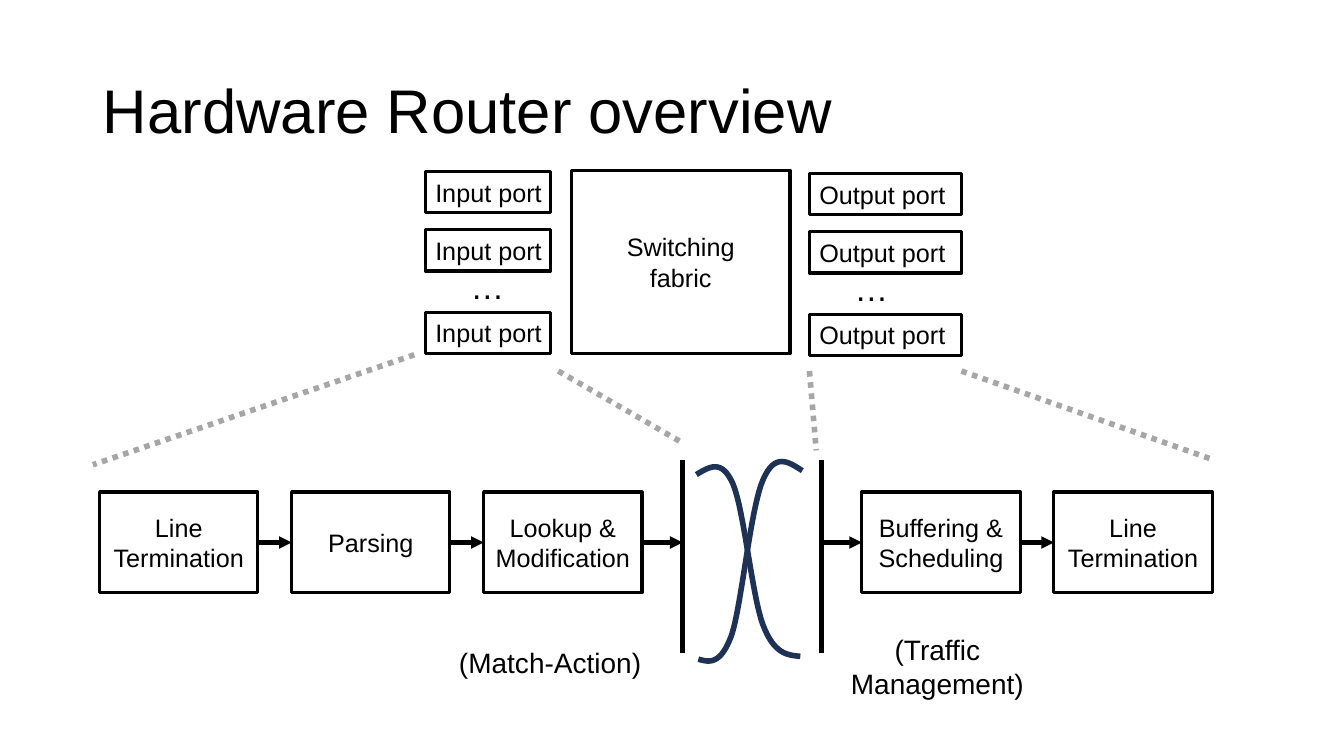
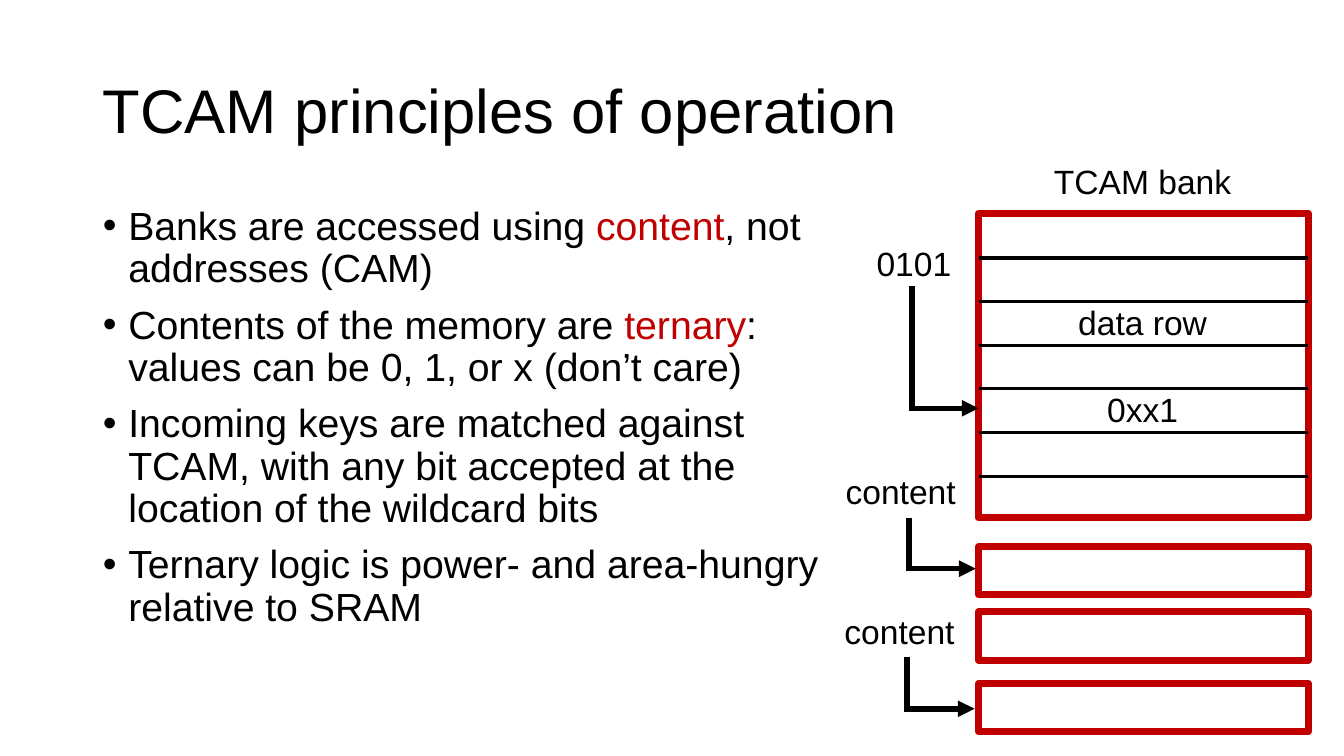
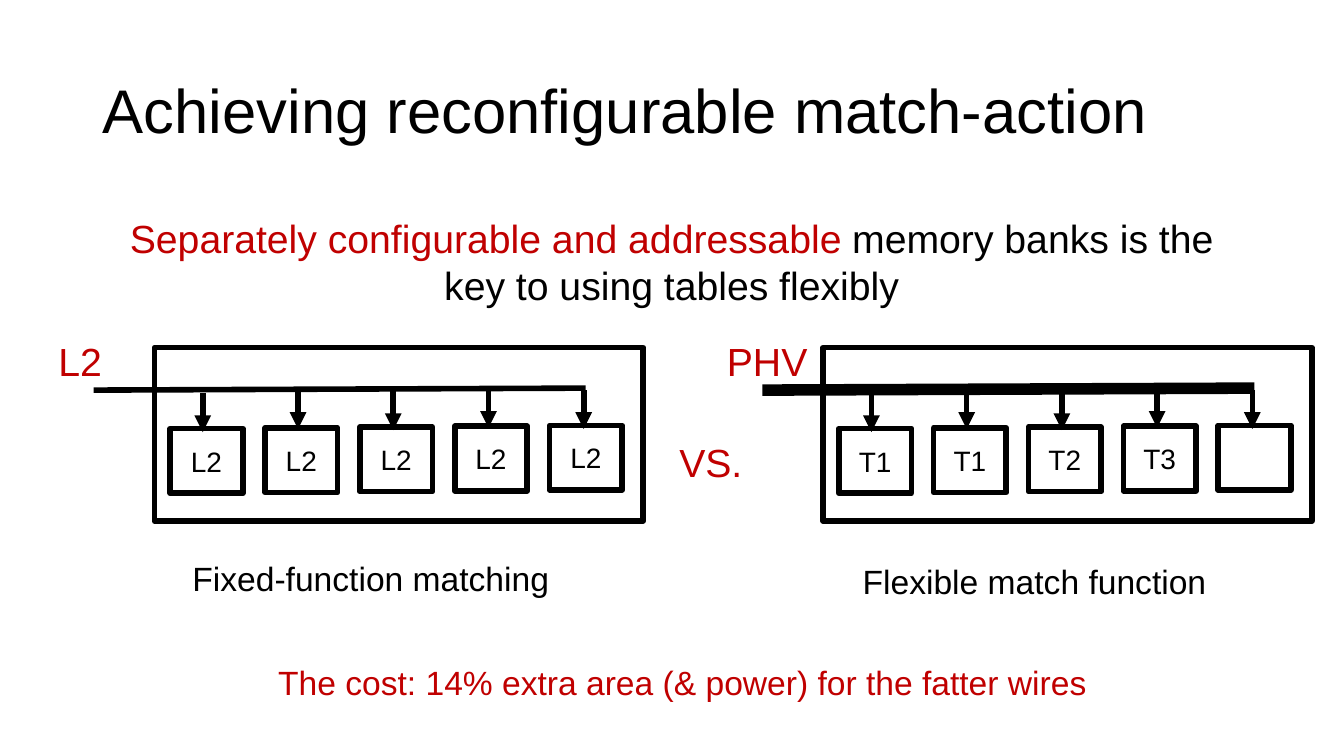
from lxml import etree
from pptx import Presentation
from pptx.dml.color import RGBColor
from pptx.enum.dml import MSO_LINE
from pptx.enum.shapes import MSO_CONNECTOR, MSO_SHAPE
from pptx.enum.text import MSO_ANCHOR, MSO_AUTO_SIZE, PP_ALIGN
from pptx.oxml.ns import qn
from pptx.util import Cm, Pt

RECTANGLE = MSO_SHAPE.RECTANGLE
STRAIGHT = MSO_CONNECTOR.STRAIGHT
DOTTED = MSO_LINE.ROUND_DOT
LEFT, CENTER = PP_ALIGN.LEFT, PP_ALIGN.CENTER
TOP, MIDDLE = MSO_ANCHOR.TOP, MSO_ANCHOR.MIDDLE
NO_FIT = MSO_AUTO_SIZE.NONE

FONT = "Arial"
COLORS = {"ink": "000000", "accent": "C00000", "zoom": "A6A6A6", "curve": "1E3256"}
TITLE_ONLY, TITLE_AND_CONTENT = 5, 1
TITLE_AREA = (2.34, 1.02, 29.21, 3.68)

# Slide 1 content, all places in centimetres
ROUTER_TITLE = "Hardware Router overview"
PORT_COLUMNS = [  # text, left, first top, width
    ("Input port", 10.72, 4.32, 3.15),
    ("Output port", 20.4, 4.37, 3.84),
]
PORT_STEPS = (0, 1.47, 3.55)
FABRIC = ("Switching fabric", (14.4, 4.29, 5.51, 4.62))
INGRESS = ["Line Termination", "Parsing", "Lookup & Modification"]
EGRESS = ["Buffering & Scheduling", "Line Termination"]
STAGE_TOP, STAGE_WIDTH, STAGE_HEIGHT, STAGE_PITCH = 12.4, 3.99, 2.54, 4.84
INGRESS_LEFT, EGRESS_LEFT = 2.51, 21.72
FABRIC_EDGES = (17.2, 20.7)
ZOOM_LINES = [
    ((10.44, 8.94), (2.34, 11.71)),
    ((14.07, 9.35), (17.15, 11.13)),
    ((20.4, 9.35), (20.57, 11.35)),
    ((24.23, 9.35), (30.56, 11.58)),
]
CROSSING_CURVES = [  # start point, then two controls and an end per segment
    [(17.55, 11.96), (17.88, 11.76), (18.19, 11.56), (18.47, 12.19),
     (18.75, 12.83), (18.95, 15.01), (19.23, 15.75),
     (19.51, 16.48), (19.84, 16.51), (20.17, 16.54)],
    [(20.22, 11.86), (19.86, 11.63), (19.53, 11.4), (19.23, 12.09),
     (18.92, 12.78), (18.69, 15.24), (18.44, 16),
     (18.16, 16.76), (17.88, 16.69), (17.6, 16.61)],
]
ROUTER_NOTES = [
    ("(Match-Action)", (11.3, 16.13, 5.13, 1.12)),
    ("(Traffic Management)", (21.11, 15.82, 5.03, 1.96)),
]

# Slide 2 content
TCAM_TITLE = "TCAM principles of operation"
TCAM_POINTS = [
    [("Banks are accessed using ", "ink"), ("content", "accent"),
     (", not addresses (CAM)", "ink")],
    [("Contents of the memory are ", "ink"), ("ternary", "accent"),
     (": values can be 0, 1, or x (don’t care)", "ink")],
    [("Incoming keys are matched against TCAM, with any bit accepted "
      "at the location of the wildcard bits", "ink")],
    [("Ternary logic is power- and area-hungry relative to SRAM", "ink")],
]
POINTS_AREA = (2.34, 5.08, 18.62, 12.09)
BANK_LEFT, BANK_WIDTH = 24.66, 8.31
BANKS = [(5.38, 7.67), (13.77, 1.22), (15.42, 1.22), (17.22, 1.22)]  # top, height
ROW_TOP, ROW_PITCH, DIVIDERS = 6.5, 1.1, 6
BANK_LABELS = [("TCAM bank", 3.94), ("data row", 7.49), ("0xx1", 9.68)]
KEYS = [  # text, text left and top, arrow left, top, bottom, tip
    ("0101", 21.84, 5.99, 22.99, 7.21, 10.29, 24.66),
    ("content", 21.06, 11.73, 22.91, 13.06, 14.33, 24.59),
    ("content", 21.03, 15.27, 22.86, 16.56, 17.86, 24.56),
]

# Slide 3 content
MATCH_TITLE = "Achieving reconfigurable match-action"
HEADLINE = [("Separately configurable and addressable ", "accent"),
            ("memory banks is the key to using tables flexibly", "ink")]
UNITS = [  # bus label, bus width in points, cells
    ("L2", 4, ["L2", "L2", "L2", "L2", "L2"]),
    ("PHV", 8.25, ["T1", "T1", "T2", "T3", ""]),
]
UNIT_PITCH, CELL_PITCH, DROP_PITCH = 16.85, 2.39, 2.4
DROP_TOPS = [9.91, 9.83, 9.86, 9.8, 9.83]
DROP_LENGTH = 0.98
MATCH_NOTES = [  # text, color, size, area
    ("VS.", "accent", 28, (16.87, 10.92, 2.51, 1.45)),
    ("Fixed-function matching", "ink", 24, (4.6, 13.94, 11.1, 1.27)),
    ("Flexible match function", "ink", 24, (21.49, 14, 11.56, 1.27)),
    ("The cost: 14% extra area (& power) for the fatter wires", "accent", 24,
     (6.76, 16.56, 21.54, 1.27)),
]


# Shared helpers
def rgb(name):
    return RGBColor.from_string(COLORS[name])


def place(shape, area):
    shape.left, shape.top, shape.width, shape.height = [Cm(value) for value in area]


def style_span(span, size, color):
    span.font.name = FONT
    span.font.size = Pt(size)
    span.font.color.rgb = rgb(color)


def write(frame, text, size, color="ink", align=LEFT, anchor=TOP):
    frame.word_wrap = True
    frame.vertical_anchor = anchor
    frame.text = text
    para = frame.paragraphs[0]
    para.alignment = align
    for span in para.runs:
        style_span(span, size, color)


def add_spans(para, spans, size):
    for text, color in spans:
        span = para.add_run()
        span.text = text
        style_span(span, size, color)


def add_page(deck, layout, title):
    page = deck.slides.add_slide(deck.slide_layouts[layout])
    place(page.shapes.title, TITLE_AREA)
    frame = page.shapes.title.text_frame
    frame.auto_size = NO_FIT
    write(frame, title, 44, anchor=MIDDLE)
    frame.paragraphs[0].line_spacing = 0.9
    return page


def add_label(page, text, area, size, color="ink", align=LEFT):
    box = page.shapes.add_textbox(*[Cm(value) for value in area])
    write(box.text_frame, text, size, color, align)
    return box


def add_box(page, area, width, color="ink", text="", size=18, align=CENTER):
    box = page.shapes.add_shape(RECTANGLE, *[Cm(value) for value in area])
    box.shadow.inherit = False
    box.fill.background()
    box.line.color.rgb = rgb(color)
    box.line.width = Pt(width)
    if text:
        write(box.text_frame, text, size, align=align, anchor=MIDDLE)
    return box


def add_line(page, start, end, width, color="ink", arrow=False):
    line = page.shapes.add_connector(STRAIGHT, *[Cm(value) for value in start + end])
    line.line.color.rgb = rgb(color)
    line.line.width = Pt(width)
    if arrow:
        etree.SubElement(line.line._get_or_add_ln(), qn("a:tailEnd"), type="triangle")
    etree.SubElement(line._element.spPr, qn("a:effectLst"))
    return line


def curve_points(points, steps=16):
    """Sample a chain of cubic segments."""
    samples = [points[0]]
    for first in range(0, len(points) - 1, 3):
        segment = points[first:first + 4]
        for step in range(1, steps + 1):
            t = step / steps
            weights = ((1 - t) ** 3, 3 * t * (1 - t) ** 2, 3 * t * t * (1 - t), t ** 3)
            samples.append(tuple(
                sum(weight * point[axis] for weight, point in zip(weights, segment))
                for axis in (0, 1)))
    return samples


def add_curve(page, points):
    start, *rest = [(Cm(x), Cm(y)) for x, y in curve_points(points)]
    builder = page.shapes.build_freeform(*start)
    builder.add_line_segments(rest, close=False)
    curve = builder.convert_to_shape()
    curve.shadow.inherit = False
    curve.fill.background()
    curve.line.color.rgb = rgb("curve")
    curve.line.width = Pt(4)


# Slides
def build_router(deck):
    page = add_page(deck, TITLE_ONLY, ROUTER_TITLE)

    # Ports around the switching fabric
    text, area = FABRIC
    fabric = add_box(page, area, 2.25, text=text)
    fabric.text_frame.margin_left = fabric.text_frame.margin_right = Cm(1)
    for text, left, top, width in PORT_COLUMNS:
        for step in PORT_STEPS:
            port = add_box(page, (left, top + step, width, 1.04), 2.25,
                           text=text, align=LEFT)
            port.text_frame.margin_right = 0
            port.text_frame.margin_top = port.text_frame.margin_bottom = 0
        add_label(page, "…", (left + 0.89, top + 2.26, 1.45, 1.27), 24)

    # Pipeline stages on both sides of the fabric
    for first, names in ((INGRESS_LEFT, INGRESS), (EGRESS_LEFT, EGRESS)):
        for index, name in enumerate(names):
            area = (first + index * STAGE_PITCH, STAGE_TOP, STAGE_WIDTH, STAGE_HEIGHT)
            add_box(page, area, 2.25, text=name)
    for edge in FABRIC_EDGES:
        add_line(page, (edge, 11.58), (edge, 16.46), 3)

    # Arrows: from each stage or edge to the next one
    ingress = [INGRESS_LEFT + index * STAGE_PITCH for index in range(len(INGRESS))]
    egress = [EGRESS_LEFT + index * STAGE_PITCH for index in range(len(EGRESS))]
    starts = [left + STAGE_WIDTH for left in ingress]
    starts += [FABRIC_EDGES[1]] + [left + STAGE_WIDTH for left in egress[:-1]]
    ends = ingress[1:] + [FABRIC_EDGES[0]] + egress
    middle = STAGE_TOP + STAGE_HEIGHT / 2
    for start, end in zip(starts, ends):
        add_line(page, (start, middle), (end, middle), 3, arrow=True)

    for start, end in ZOOM_LINES:
        add_line(page, start, end, 4, "zoom").line.dash_style = DOTTED
    for points in CROSSING_CURVES:
        add_curve(page, points)
    for text, area in ROUTER_NOTES:
        add_label(page, text, area, 20, align=CENTER)


def build_tcam(deck):
    page = add_page(deck, TITLE_AND_CONTENT, TCAM_TITLE)

    # Bullet points
    body = page.placeholders[1]
    place(body, POINTS_AREA)
    frame = body.text_frame
    frame.auto_size = NO_FIT
    for index, spans in enumerate(TCAM_POINTS):
        para = frame.add_paragraph() if index else frame.paragraphs[0]
        properties = para._p.get_or_add_pPr()
        properties.set("marL", str(Cm(0.64)))
        properties.set("indent", str(-Cm(0.64)))
        etree.SubElement(properties, qn("a:buFont"), typeface=FONT)
        etree.SubElement(properties, qn("a:buChar"), char="•")
        para.line_spacing = 0.9
        para.space_before = Pt(10 if index else 0)
        add_spans(para, spans, 28)

    # Memory banks and rows
    for top, height in BANKS:
        add_box(page, (BANK_LEFT, top, BANK_WIDTH, height), 5, "accent")
    for index in range(DIVIDERS):
        y = ROW_TOP + index * ROW_PITCH
        add_line(page, (BANK_LEFT, y), (BANK_LEFT + BANK_WIDTH, y), 2.25)
    for text, top in BANK_LABELS:
        add_label(page, text, (26, top, 5.59, 1.27), 24, align=CENTER)

    # Lookup keys with bent arrows
    for text, left, top, x, start, bottom, tip in KEYS:
        add_label(page, text, (left, top, 4.19, 1.27), 24)
        add_line(page, (x, start), (x, bottom), 4)
        add_line(page, (x - 0.07, bottom), (tip, bottom), 4, arrow=True)


def build_match(deck):
    page = add_page(deck, TITLE_ONLY, MATCH_TITLE)

    headline = add_label(page, "", (2.84, 5.28, 28.17, 2.64), 28, align=CENTER)
    add_spans(headline.text_frame.paragraphs[0], HEADLINE, 28)

    # Two match units, each a bus feeding five cells
    for unit, (label, bus_width, cells) in enumerate(UNITS):
        shift = unit * UNIT_PITCH
        add_label(page, label, (1.22 + shift, 8.38, 3.07, 1.45), 28, "accent")
        add_box(page, (3.89 + shift, 8.76, 12.32, 4.37), 4)
        for index, (text, top) in enumerate(zip(cells, DROP_TOPS)):
            left = 4.29 + shift + index * CELL_PITCH
            add_box(page, (left, 10.8 - 0.02 * index, 1.83, 1.63), 4, text=text, size=20)
            x = 5.11 + shift + index * DROP_PITCH
            add_line(page, (x, top), (x, top + DROP_LENGTH), 4, arrow=True)
        add_line(page, (2.36 + shift, 9.83), (14.76 + shift, 9.78), bus_width)

    for text, color, size, area in MATCH_NOTES:
        add_label(page, text, area, size, color)


def main():
    deck = Presentation()
    deck.slide_width, deck.slide_height = Cm(33.87), Cm(19.05)
    build_router(deck)
    build_tcam(deck)
    build_match(deck)
    deck.save("out.pptx")


if __name__ == "__main__":
    main()
